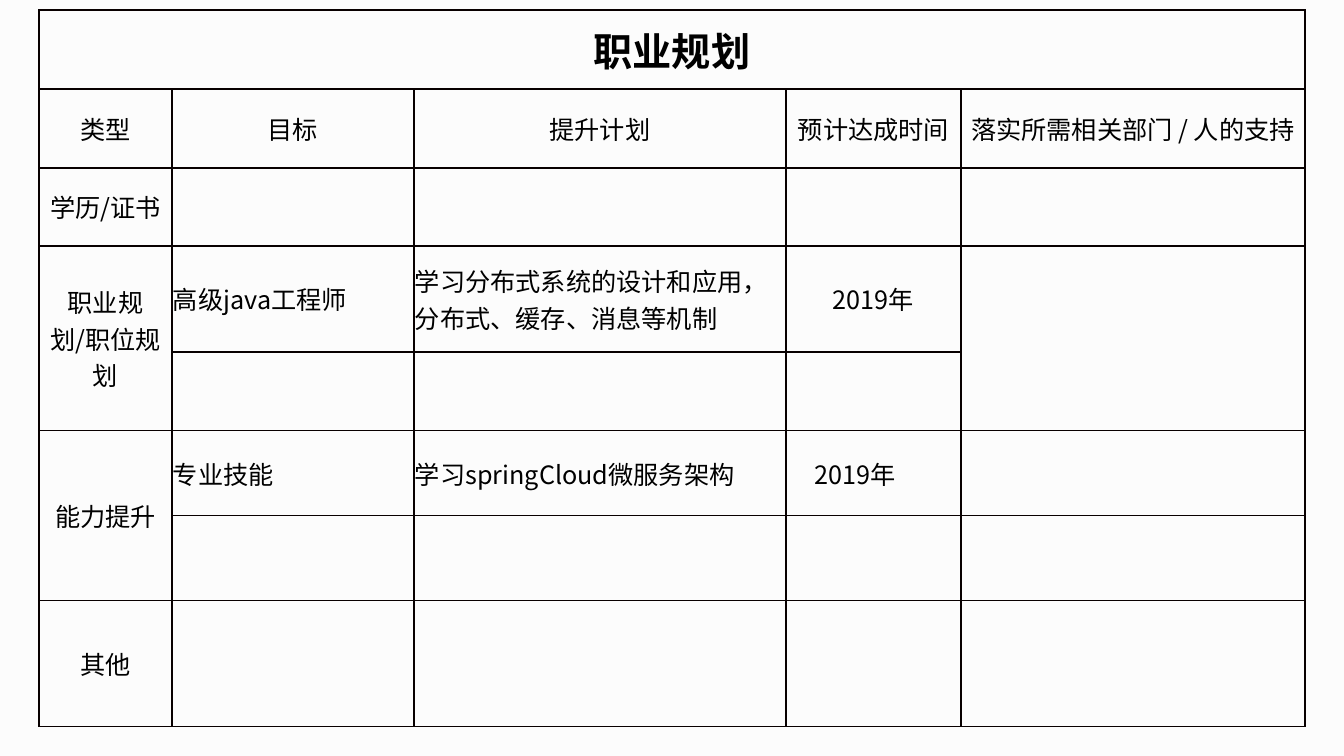
import pptx
import pptx.util
import pptx.dml.color
import pptx.enum.text
import pptx.oxml
import pptx.oxml.ns
from lxml import etree

PX = 914400 / 100.8
THEME = {
    "back": "FCFCFC", "line": "080000", "text": "000000",
    "font": "Noto Sans CJK SC", "head": 28, "body": 18, "rule": 1,
}
WIDTHS = [133, 242, 372, 175, 344]
HEIGHTS = [79, 79, 78, 106, 79, 85, 85, 126]
ROWS = [
    ["职业规划"],
    ["类型", "目标", "提升计划", "预计达成时间", "落实所需相关部门 / 人的支持"],
    ["学历/证书"],
    ["职业规划/职位规划", "高级java工程师",
     "学习分布式系统的设计和应用，分布式、缓存、消息等机制", "2019年"],
    [],
    ["能力提升", "专业技能", "学习springCloud微服务架构", "2019年"],
    [],
    ["其他"],
]
MERGES = [(0, 0, 0, 4), (3, 0, 4, 0), (3, 4, 4, 4), (5, 0, 6, 0)]
LEFT = {(3, 1), (3, 2), (5, 1), (5, 3)}
JUST = {(5, 2)}
ALIGN = pptx.enum.text.PP_ALIGN
qn = pptx.oxml.ns.qn


def px(n):
    return pptx.util.Emu(round(n * PX))


def frame(cell):
    """Draw the four borders of a cell and leave it unfilled."""
    props = cell._tc.get_or_add_tcPr()
    for side in ("lnL", "lnR", "lnT", "lnB"):
        edge = etree.SubElement(props, qn("a:" + side),
                                w=str(pptx.util.Pt(THEME["rule"])))
        fill = etree.SubElement(edge, qn("a:solidFill"))
        etree.SubElement(fill, qn("a:srgbClr"), val=THEME["line"])
    cell.fill.background()


deck = pptx.Presentation()
deck.slide_width, deck.slide_height = px(1344), px(756)
slide = deck.slides.add_slide(deck.slide_layouts[6])
back = slide.background.fill
back.solid()
back.fore_color.rgb = pptx.dml.color.RGBColor.from_string(THEME["back"])

table = slide.shapes.add_table(
    len(HEIGHTS), len(WIDTHS), px(39), px(10),
    px(sum(WIDTHS)), px(sum(HEIGHTS))).table
table.first_row = table.horz_banding = False
for col, width in zip(table.columns, WIDTHS):
    col.width = px(width)
for row, height in zip(table.rows, HEIGHTS):
    row.height = px(height)
for top, left, low, right in MERGES:
    table.cell(top, left).merge(table.cell(low, right))

for r in range(len(HEIGHTS)):
    for c in range(len(WIDTHS)):
        cell = table.cell(r, c)
        frame(cell)
        cell.margin_left = cell.margin_right = px(1)
        cell.margin_top = cell.margin_bottom = px(1)
        cell.vertical_anchor = pptx.enum.text.MSO_ANCHOR.MIDDLE
        if c >= len(ROWS[r]):
            continue
        cell.text = ROWS[r][c]
        para = cell.text_frame.paragraphs[0]
        para.alignment = (ALIGN.LEFT if (r, c) in LEFT else
                          ALIGN.JUSTIFY if (r, c) in JUST else ALIGN.CENTER)
        font = para.font
        font.name = THEME["font"]
        font.size = pptx.util.Pt(THEME["body" if r else "head"])
        font.bold = r == 0
        font.color.rgb = pptx.dml.color.RGBColor.from_string(THEME["text"])
        base = para._p.pPr.find(qn("a:defRPr"))
        etree.SubElement(base, qn("a:ea"), typeface=THEME["font"])

table.cell(5, 3).margin_left = px(29)

deck.save("out.pptx")
